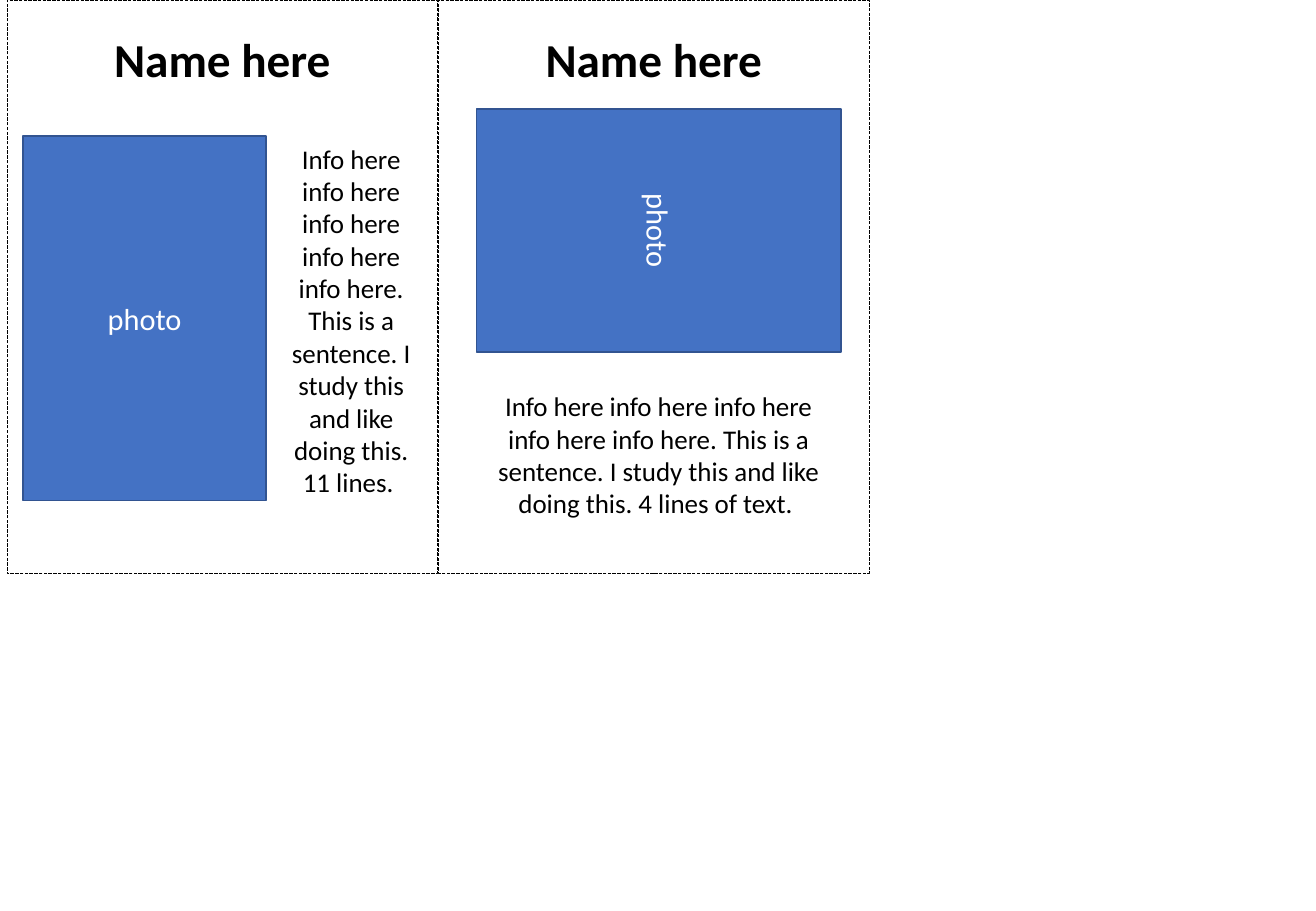
import dataclasses

import pptx
import pptx.dml.color
import pptx.enum.dml
import pptx.enum.shapes
import pptx.enum.text
import pptx.util
import lxml.etree

PIXEL = pptx.util.Inches(1) // 100
COMPARISON_LAYOUT = 4
CARD_WIDTH, CARD_HEIGHT = 354, 472
CARD_LEFT, CARD_PITCH = 6, 355
PHOTO_WIDTH, PHOTO_HEIGHT = 200, 300
INFO = ("Info here info here info here info here info here. "
        "This is a sentence. I study this and like doing this. ")


@dataclasses.dataclass(frozen=True)
class Theme:
    font: str = "Calibri"
    ink: str = "000000"
    photo_fill: str = "4472C4"
    photo_line: str = "325491"
    photo_text: str = "FFFFFF"
    name_size: int = 28
    photo_size: int = 18
    info_size: int = 16


THEME = Theme()


def rgb(colour):
    return pptx.dml.color.RGBColor.from_string(colour)


def pixels(*lengths):
    return [length * PIXEL for length in lengths]


def write(shape, text, size, colour, bold=False):
    paragraph = shape.text_frame.paragraphs[0]
    paragraph.text = text
    paragraph.alignment = pptx.enum.text.PP_ALIGN.CENTER
    paragraph.font.name = THEME.font
    paragraph.font.size = pptx.util.Pt(size)
    paragraph.font.bold = bold
    paragraph.font.color.rgb = rgb(colour)
    return paragraph


def fill_placeholder(placeholder, box, text, size, bold=False):
    """Move a body placeholder to box and set it as plain centred text."""
    placeholder.left, placeholder.top, placeholder.width, placeholder.height = pixels(*box)
    frame = placeholder.text_frame
    frame.word_wrap = True
    frame.auto_size = pptx.enum.text.MSO_AUTO_SIZE.NONE
    frame.vertical_anchor = pptx.enum.text.MSO_ANCHOR.TOP
    paragraph = write(placeholder, text, size, THEME.ink, bold)
    paragraph.space_before = pptx.util.Pt(0)
    properties = paragraph._p.get_or_add_pPr()
    properties.set("marL", "0")
    properties.set("indent", "0")
    no_bullet = lxml.etree.Element(pptx.oxml.ns.qn("a:buNone"))
    properties.find(pptx.oxml.ns.qn("a:spcBef")).addnext(no_bullet)


def add_rectangle(slide, box, line_colour, line_width):
    shape = slide.shapes.add_shape(
        pptx.enum.shapes.MSO_SHAPE.RECTANGLE, *pixels(*box))
    shape.shadow.inherit = False
    shape.line.color.rgb = rgb(line_colour)
    shape.line.width = pptx.util.Pt(line_width)
    return shape


def add_photo(slide, left, top, rotation):
    photo = add_rectangle(slide, (left, top, PHOTO_WIDTH, PHOTO_HEIGHT),
                          THEME.photo_line, 1)
    photo.rotation = rotation
    photo.fill.solid()
    photo.fill.fore_color.rgb = rgb(THEME.photo_fill)
    photo.text_frame.vertical_anchor = pptx.enum.text.MSO_ANCHOR.MIDDLE
    write(photo, "photo", THEME.photo_size, THEME.photo_text)


def add_card(slide, left, name, info, photo_offset, rotation, info_box, info_text):
    """Place one card; photo_offset and info_box are relative to its left edge."""
    outline = add_rectangle(slide, (left, 0, CARD_WIDTH, CARD_HEIGHT), THEME.ink, 0.25)
    outline.fill.background()
    outline.line.dash_style = pptx.enum.dml.MSO_LINE.LONG_DASH
    fill_placeholder(name, (left, 20, CARD_WIDTH, 57), "Name here",
                     THEME.name_size, bold=True)
    photo_left, photo_top = photo_offset
    add_photo(slide, left + photo_left, photo_top, rotation)
    info_left, *info_rest = info_box
    fill_placeholder(info, (left + info_left, *info_rest), info_text, THEME.info_size)


def main():
    presentation = pptx.Presentation()
    presentation.slide_width, presentation.slide_height = pixels(1083, 750)
    slide = presentation.slides.add_slide(presentation.slide_layouts[COMPARISON_LAYOUT])
    title, *card_placeholders = slide.placeholders
    title.element.getparent().remove(title.element)
    left_name, left_info, right_name, right_info = card_placeholders[:4]

    add_card(slide, CARD_LEFT, left_name, left_info,
             photo_offset=(13, 112), rotation=0,
             info_box=(213, 112, 140, 306), info_text=INFO + "11 lines. ")
    add_card(slide, CARD_LEFT + CARD_PITCH, right_name, right_info,
             photo_offset=(81, 40), rotation=90,
             info_box=(31, 316, 300, 118), info_text=INFO + "4 lines of text. ")
    presentation.save("out.pptx")


if __name__ == "__main__":
    main()
